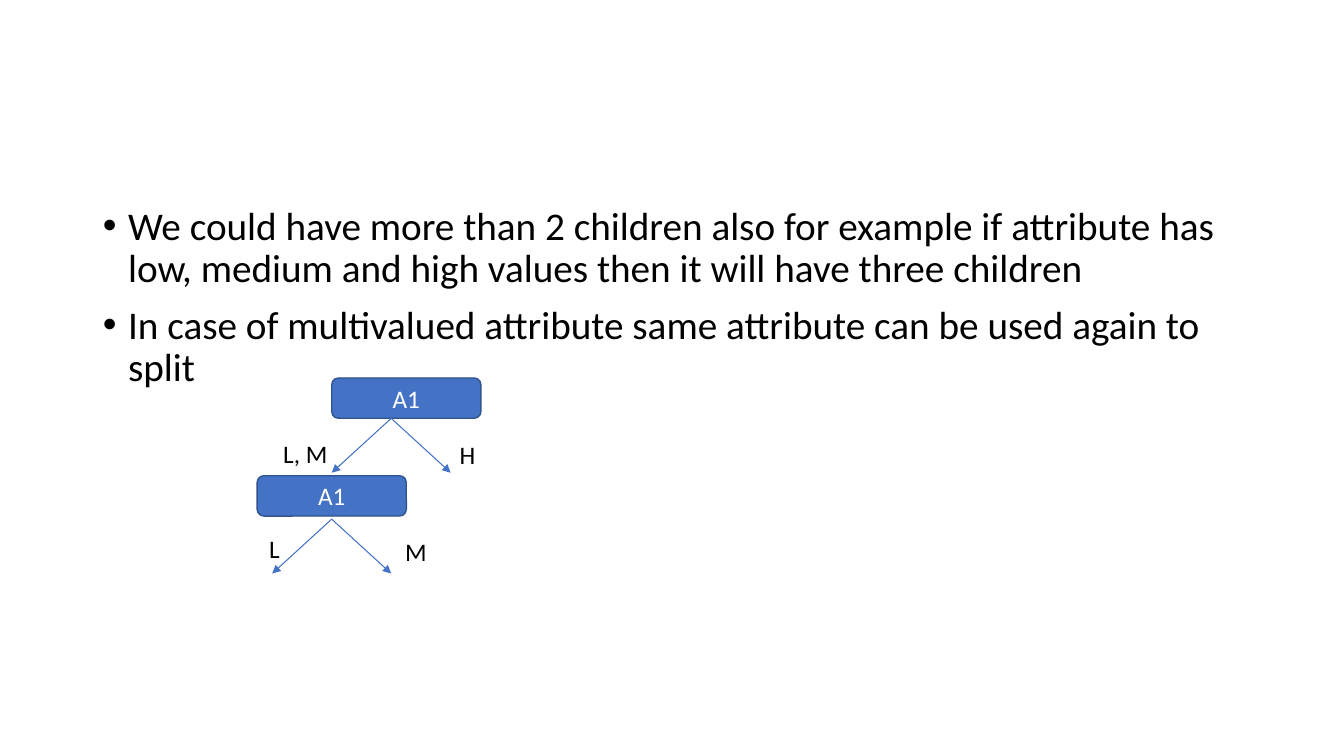
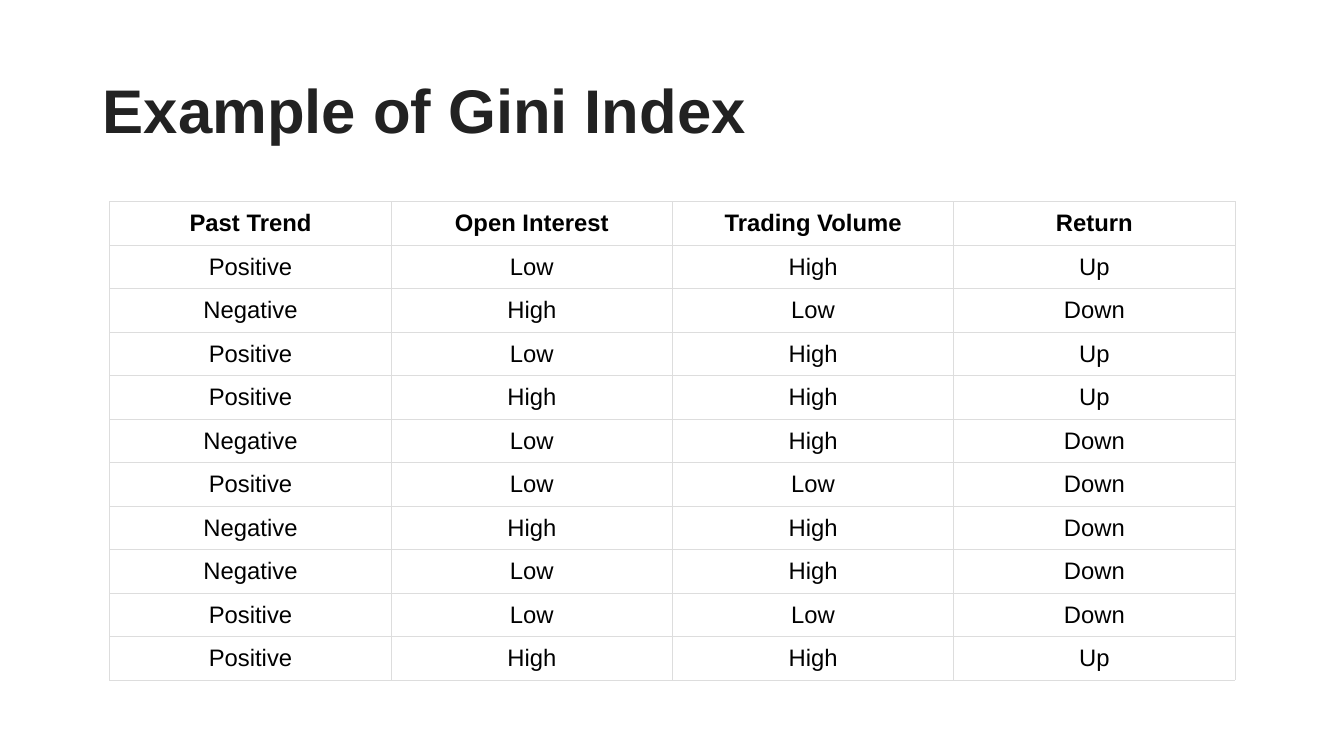
from lxml import etree
from pptx import Presentation, util as u
from pptx.dml.color import RGBColor
from pptx.enum import shapes, text
from pptx.oxml import ns

PX = 9144  # EMU per px, 100 px to the inch


def px(*lengths):
    return [u.Emu(round(length * PX)) for length in lengths]


def colour(hex_string):
    return RGBColor.from_string(hex_string)


def add_xml(parent, tag, **attributes):
    return etree.SubElement(parent, ns.qn(tag), attributes)


class Deck:
    BLACK, WHITE, HEADING = "000000", "FFFFFF", "222222"
    NODE, NODE_EDGE, GRID = "4472C4", "31538F", "DDDDDD"
    BODY_FONT, HEADING_FONT = "Calibri", "Arial"
    TITLE_ONLY, TITLE_AND_BODY = 5, 1

    def __init__(self, width, height):
        self.prs = Presentation()
        self.prs.slide_width, self.prs.slide_height = px(width, height)
        self.slide = None

    def new_slide(self, layout):
        self.slide = self.prs.slides.add_slide(self.prs.slide_layouts[layout])

    def add_words(self, paragraph, words, size, hex_string, font=BODY_FONT, bold=False):
        run = paragraph.add_run()
        run.text = words
        run.font.size, run.font.name, run.font.bold = u.Pt(size), font, bold
        run.font.color.rgb = colour(hex_string)

    def place(self, placeholder, left, top, width, height):
        placeholder.left, placeholder.top, placeholder.width, placeholder.height = px(
            left, top, width, height)
        frame = placeholder.text_frame
        frame.word_wrap = True
        frame.auto_size = text.MSO_AUTO_SIZE.NONE
        return frame

    def title(self, words):
        frame = self.place(self.slide.shapes.title, 92, 40, 1150, 145)
        frame.vertical_anchor = text.MSO_ANCHOR.MIDDLE
        heading = frame.paragraphs[0]
        heading.alignment = text.PP_ALIGN.LEFT
        heading.line_spacing = 0.9
        self.add_words(heading, words, 44, self.HEADING, self.HEADING_FONT, bold=True)

    def drop_title(self):
        title = self.slide.shapes.title.element
        title.getparent().remove(title)

    def bullets(self, points):
        frame = self.place(self.slide.placeholders[1], 92, 200, 1150, 476)
        frame.vertical_anchor = text.MSO_ANCHOR.TOP
        for index, words in enumerate(points):
            point = frame.add_paragraph() if index else frame.paragraphs[0]
            props = point._p.get_or_add_pPr()
            indent = px(25)[0]
            props.set("marL", str(indent))
            props.set("indent", str(-indent))
            add_xml(add_xml(props, "a:buClr"), "a:srgbClr", val=self.BLACK)
            add_xml(props, "a:buFont", typeface="Arial")
            add_xml(props, "a:buChar", char="•")
            point.line_spacing = 0.9
            point.space_before = u.Pt(10 if index else 0)
            self.add_words(point, words, 28, self.BLACK)

    def node(self, left, top, words):
        box = self.slide.shapes.add_shape(
            shapes.MSO_SHAPE.ROUNDED_RECTANGLE, *px(left, top, 148, 40))
        box.shadow.inherit = False
        box.fill.solid()
        box.fill.fore_color.rgb = colour(self.NODE)
        box.line.color.rgb = colour(self.NODE_EDGE)
        box.line.width = u.Pt(1)
        box.text_frame.vertical_anchor = text.MSO_ANCHOR.MIDDLE
        caption = box.text_frame.paragraphs[0]
        caption.alignment = text.PP_ALIGN.CENTER
        self.add_words(caption, words, 18, self.WHITE)

    def arrow(self, x1, y1, x2, y2):
        arrow = self.slide.shapes.add_connector(
            shapes.MSO_CONNECTOR.STRAIGHT, *px(x1, y1, x2, y2))
        arrow.line.color.rgb = colour(self.NODE)
        arrow.line.width = u.Pt(0.75)
        props = arrow.element.spPr
        add_xml(props.find(ns.qn("a:ln")), "a:tailEnd", type="triangle")
        add_xml(props, "a:effectLst")

    def split(self, x, y):
        for reach in (-59, 59):
            self.arrow(x, y, x + reach, y + 54)

    def label(self, left, top, width, words):
        frame = self.slide.shapes.add_textbox(*px(left, top, width, 40)).text_frame
        frame.word_wrap = True
        self.add_words(frame.paragraphs[0], words, 18, self.BLACK)

    def table(self, left, top, width, height, rows):
        grid = self.slide.shapes.add_table(
            len(rows), len(rows[0]), *px(left, top, width, height)).table
        grid.first_row = grid.horz_banding = False
        for row in grid.rows:
            row.height = px(height / len(rows))[0]
        for r, row in enumerate(rows):
            for c, words in enumerate(row):
                self.cell(grid.cell(r, c), words, bold=r == 0)

    def cell(self, cell, words, bold):
        cell.margin_left, cell.margin_right, cell.margin_top, cell.margin_bottom = px(
            15, 15, 7, 7)
        cell.vertical_anchor = text.MSO_ANCHOR.MIDDLE
        props = cell._tc.get_or_add_tcPr()
        for side in ("a:lnL", "a:lnR", "a:lnT", "a:lnB"):
            border = add_xml(props, side, w=str(u.Pt(0.75)))
            add_xml(add_xml(border, "a:solidFill"), "a:srgbClr", val=self.GRID)
        cell.fill.solid()
        cell.fill.fore_color.rgb = colour(self.WHITE)
        entry = cell.text_frame.paragraphs[0]
        entry.alignment = text.PP_ALIGN.CENTER
        self.add_words(entry, words, 17, self.BLACK, self.HEADING_FONT, bold)


def children_slide(deck):
    deck.new_slide(deck.TITLE_AND_BODY)
    deck.drop_title()
    deck.bullets([
        "We could have more than 2 children also for example if attribute has low, "
        "medium and high values then it will have three children",
        "In case of multivalued attribute same attribute can be used again to split",
    ])

    # Tree: node corner, split point, branch labels
    tree = [
        ((329, 375), (388, 415), [(271, 430, 86, "L, M"), (446, 431, 58, "H")]),
        ((255, 472), (329, 515), [(257, 524, 60, "L"), (392, 527, 52, "M")]),
    ]
    for corner, split_point, branches in tree:
        deck.node(*corner, "A1")
        deck.split(*split_point)
        for branch in branches:
            deck.label(*branch)


def gini_slide(deck):
    deck.new_slide(deck.TITLE_ONLY)
    deck.title("Example of Gini Index")
    deck.table(109, 200, 1116, 475, [
        ("Past Trend", "Open Interest", "Trading Volume", "Return"),
        ("Positive", "Low", "High", "Up"),
        ("Negative", "High", "Low", "Down"),
        ("Positive", "Low", "High", "Up"),
        ("Positive", "High", "High", "Up"),
        ("Negative", "Low", "High", "Down"),
        ("Positive", "Low", "Low", "Down"),
        ("Negative", "High", "High", "Down"),
        ("Negative", "Low", "High", "Down"),
        ("Positive", "Low", "Low", "Down"),
        ("Positive", "High", "High", "Up"),
    ])


def main():
    deck = Deck(1333, 750)
    children_slide(deck)
    gini_slide(deck)
    deck.prs.save("out.pptx")


if __name__ == "__main__":
    main()
